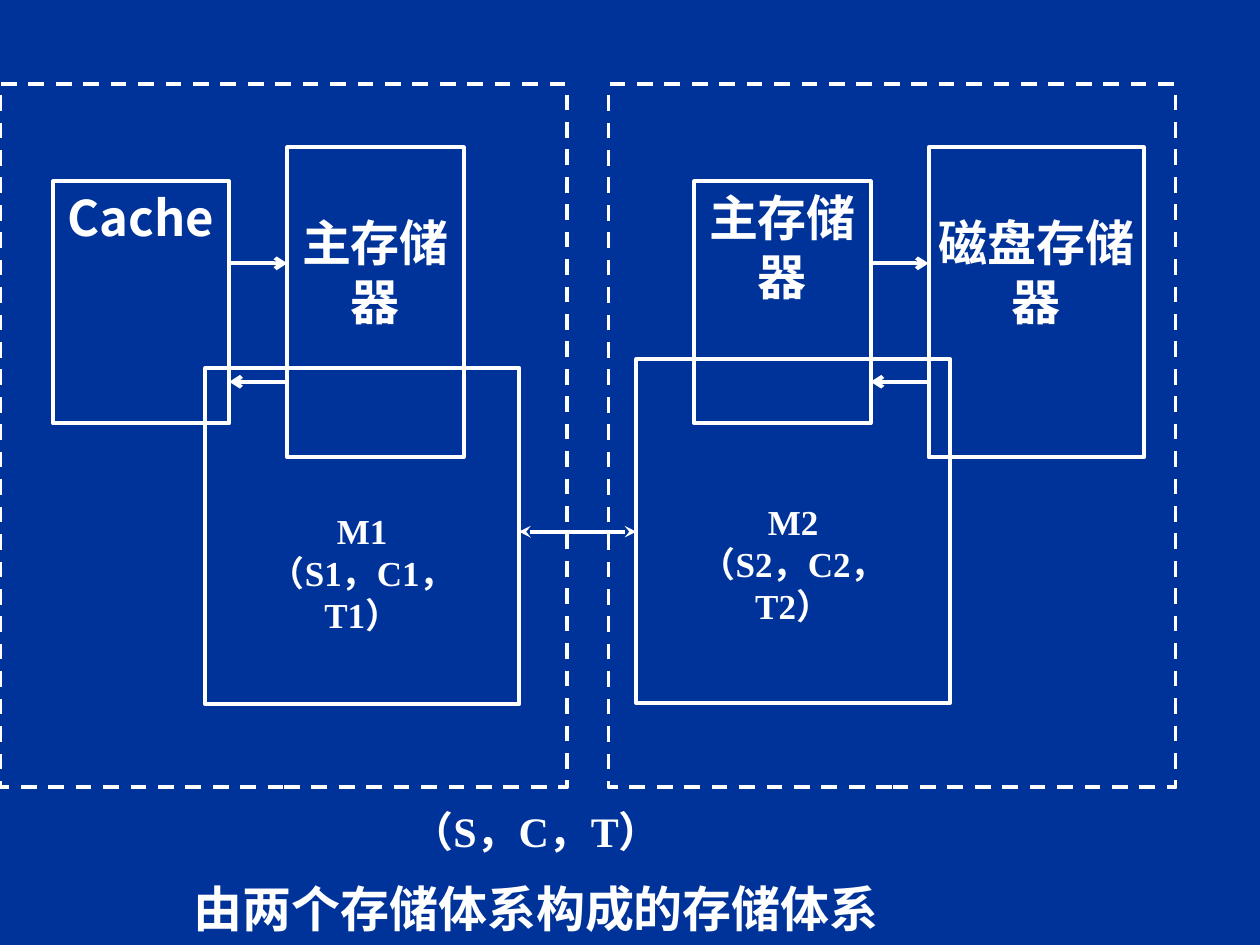
from lxml import etree
from pptx import Presentation
from pptx.dml.color import RGBColor
from pptx.enum.dml import MSO_LINE
from pptx.enum.shapes import MSO_CONNECTOR, MSO_SHAPE
from pptx.enum.text import MSO_ANCHOR, PP_ALIGN
from pptx.oxml.ns import qn
from pptx.util import Inches, Pt

BLUE = RGBColor(0x00, 0x33, 0x99)
WHITE = RGBColor(0xFF, 0xFF, 0xFF)
RECT = MSO_SHAPE.RECTANGLE
STRAIGHT = MSO_CONNECTOR.STRAIGHT
DASH = MSO_LINE.DASH
TOP = MSO_ANCHOR.TOP
CENTER = PP_ALIGN.CENTER
CJK = "Noto Sans CJK SC"
SERIF = "Times New Roman"
LINE_WIDTH = Pt(2.25)


def write(shape, lines, side, top):
    """Fill a shape with centred (text, size, latin font, space before) lines."""
    tf = shape.text_frame
    tf.word_wrap = True
    tf.vertical_anchor = TOP
    tf.margin_left = tf.margin_right = Inches(side)
    tf.margin_top = Inches(top)
    tf.margin_bottom = Inches(0.01)
    for i, (text, size, font, before) in enumerate(lines):
        p = tf.paragraphs[0] if i == 0 else tf.add_paragraph()
        p.text = text
        p.alignment = CENTER
        p.line_spacing = Pt(size * 1.2)
        p.space_before = Pt(before)
        r = p.runs[0]
        r.font.size = Pt(size)
        r.font.bold = True
        r.font.name = font
        r.font.color.rgb = WHITE
        ea = etree.SubElement(r._r.get_or_add_rPr(), qn("a:ea"))
        ea.set("typeface", CJK)


prs = Presentation()
prs.slide_width = Inches(10)
prs.slide_height = Inches(7.5)
s = prs.slides.add_slide(prs.slide_layouts[6])
s.background.fill.solid()
s.background.fill.fore_color.rgb = BLUE

# left, top, width, height, lines, side inset, top inset
boxes = [
    (1.63, 2.92, 2.49, 2.67,
     [("M1", 20, SERIF, 0), ("（S1，C1，T1）", 20, SERIF, 0)], 0.3, 1.12),
    (0.42, 1.44, 1.4, 1.92, [("Cache", 28, CJK, 0)], 0.01, 0.05),
    (2.28, 1.17, 1.4, 2.46, [("主存储器", 28, CJK, 0)], 0.01, 0.52),
    (5.05, 2.85, 2.49, 2.73,
     [("M2", 20, SERIF, 0), ("（S2，C2，T2）", 20, SERIF, 0)], 0.3, 1.12),
    (7.37, 1.17, 1.71, 2.46, [("磁盘存储器", 28, CJK, 0)], 0.01, 0.52),
    (5.51, 1.44, 1.4, 1.92, [("主存储器", 28, CJK, 0)], 0.01, 0.05),
    (0, 0.67, 4.5, 5.58, [], 0.01, 0.01),
    (4.83, 0.67, 4.5, 5.58, [], 0.01, 0.01),
]
for left, top, width, height, lines, side, inset in boxes:
    box = s.shapes.add_shape(RECT, Inches(left), Inches(top),
                             Inches(width), Inches(height))
    box.shadow.inherit = False
    box.fill.background()
    box.line.color.rgb = WHITE
    box.line.width = LINE_WIDTH
    if lines:
        write(box, lines, side, inset)
    else:
        box.line.dash_style = DASH

# start x, end x, y, arrowheads
arrows = [(4.12, 5.05, 4.22, {"headEnd": "stealth", "tailEnd": "stealth"})]
for near, far in [(1.82, 2.28), (6.91, 7.37)]:
    arrows.append((near, far, 2.09, {"tailEnd": "arrow"}))
    arrows.append((far, near, 3.03, {"tailEnd": "arrow"}))
for x1, x2, y, ends in arrows:
    arrow = s.shapes.add_connector(STRAIGHT, Inches(x1), Inches(y),
                                   Inches(x2), Inches(y))
    arrow.line.color.rgb = WHITE
    arrow.line.width = LINE_WIDTH
    ln = arrow.line._get_or_add_ln()
    for tag, kind in ends.items():
        etree.SubElement(ln, qn("a:" + tag)).set("type", kind)
    etree.SubElement(arrow._element.spPr, qn("a:effectLst"))

caption = s.shapes.add_textbox(Inches(0.42), Inches(6.3),
                               Inches(7.67), Inches(1.2))
write(caption, [("（S，C，T）", 24, SERIF, 0),
                ("由两个存储体系构成的存储体系", 28, SERIF, 13)], 0.1, 0.09)

prs.save("out.pptx")
